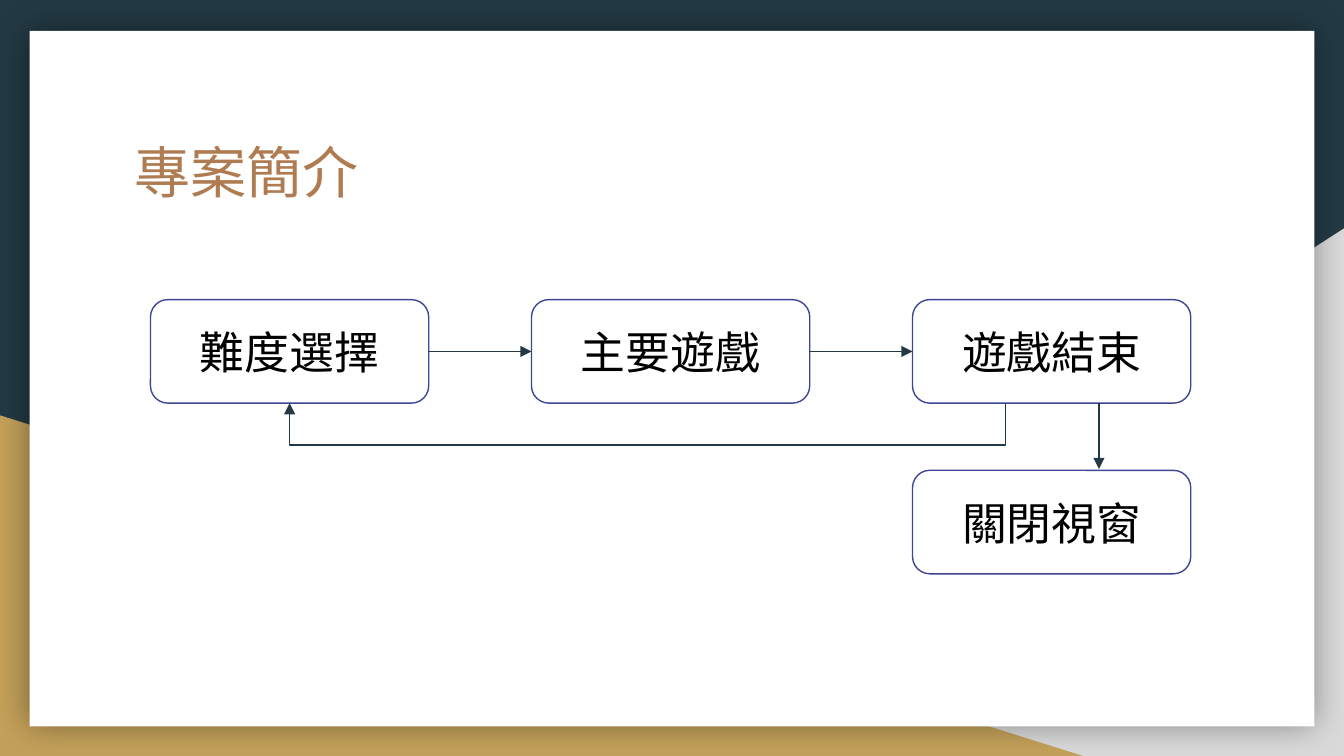
from lxml import etree
from pptx import Presentation
from pptx import util as u
from pptx.dml.color import RGBColor
from pptx.enum import shapes, text
from pptx.oxml.ns import qn

DARK, GOLD, GREY, WHITE = "233A44", "C4A15A", "D9D9D9", "FFFFFF"
BROWN, INDIGO, BLACK = "AF7B51", "3D4594", "000000"
PAGE_W = 10
PAGE_H = PAGE_W * 9 / 16
NODE_W, NODE_H = 2.07, 0.77


def colour(value):
    return RGBColor.from_string(value)


def inches(*lengths):
    return [u.Inches(length) for length in lengths]


def add_panel(page, preset, box, fill):
    panel = page.shapes.add_shape(preset, *inches(*box))
    panel.fill.solid()
    panel.fill.fore_color.rgb = colour(fill)
    panel.line.fill.background()
    panel.shadow.inherit = False
    return panel


def add_text(frame, words, font, size, ink):
    frame.word_wrap = True
    frame.margin_left = frame.margin_right = u.Inches(0.1)
    frame.margin_top = frame.margin_bottom = u.Inches(0.1)
    para = frame.paragraphs[0]
    span = para.add_run()
    span.text = words
    span.font.name = font
    span.font.size = u.Pt(size)
    span.font.color.rgb = colour(ink)
    return para


def add_backdrop(page, width, height):
    page.background.fill.solid()
    page.background.fill.fore_color.rgb = colour(DARK)
    triangle = shapes.MSO_SHAPE.RIGHT_TRIANGLE

    # Corner triangles
    right = add_panel(page, triangle, (3.92, 1.7, width - 3.92, height - 1.7), GREY)
    right._element.spPr.find(qn("a:xfrm")).set("flipH", "1")
    add_panel(page, triangle, (0, 3.09, 8.06, height - 3.09), GOLD)

    # White card with a soft shadow
    card = add_panel(page, shapes.MSO_SHAPE.RECTANGLE,
                     (0.22, 0.23, width - 0.44, height - 0.45), WHITE)
    effects = card._element.spPr.find(qn("a:effectLst"))
    shadow = etree.SubElement(effects, qn("a:outerShdw"), blurRad=str(u.Pt(18)),
                              dist="0", dir="0", algn="ctr", rotWithShape="0")
    shade = etree.SubElement(shadow, qn("a:srgbClr"), val=BLACK)
    etree.SubElement(shade, qn("a:alpha"), val="40000")


def add_title(page, box, words):
    title = page.shapes.add_textbox(*inches(*box))
    add_text(title.text_frame, words, "League Spartan", 30, BROWN)


def add_node(page, left, top, words):
    node = page.shapes.add_shape(shapes.MSO_SHAPE.ROUNDED_RECTANGLE,
                                 *inches(left, top, NODE_W, NODE_H))
    node.adjustments[0] = 0.167
    node.fill.background()
    node.line.color.rgb = colour(INDIGO)
    node.line.width = u.Pt(0.75)
    node.shadow.inherit = False
    node.text_frame.vertical_anchor = text.MSO_ANCHOR.MIDDLE
    para = add_text(node.text_frame, words, "Calibri", 24, BLACK)
    para.alignment = text.PP_ALIGN.CENTER
    return node


def style_arrow(arrow):
    arrow.line.color.rgb = colour(DARK)
    arrow.line.width = u.Pt(0.75)
    etree.SubElement(arrow.line._get_or_add_ln(), qn("a:tailEnd"), type="triangle")
    etree.SubElement(arrow._element.spPr, qn("a:effectLst"))


def add_arrow(page, start, end):
    arrow = page.shapes.add_connector(shapes.MSO_CONNECTOR.STRAIGHT,
                                      *inches(*start, *end))
    style_arrow(arrow)
    return arrow


def add_return_path(page, points):
    start, *rest = [tuple(inches(*point)) for point in points]
    builder = page.shapes.build_freeform(*start)
    builder.add_line_segments(rest, close=False)
    route = builder.convert_to_shape()
    route.fill.background()
    style_arrow(route)


def add_flow(page, left, top, width):
    step = (width - NODE_W) / 2
    last, bottom = left + 2 * step, top + NODE_H
    middle = top + NODE_H / 2

    # Three stages in a row, joined left to right
    stages = [add_node(page, left + i * step, top, words)
              for i, words in enumerate(["難度選擇", "主要遊戲", "遊戲結束"])]
    for i, (before, after) in enumerate(zip(stages, stages[1:])):
        x = left + i * step
        arrow = add_arrow(page, (x + NODE_W, middle), (x + step, middle))
        arrow.begin_connect(before, 3)
        arrow.end_connect(after, 1)

    # Back to the first stage
    out, back, lane = last + NODE_W / 3, left + NODE_W / 2, bottom + 0.31
    add_return_path(page, [(out, bottom), (out, lane), (back, lane), (back, bottom)])

    # Exit below the last stage
    exit_top = bottom + 0.5
    add_node(page, last, exit_top, "關閉視窗")
    down = last + NODE_W * 0.67
    add_arrow(page, (down, bottom), (down, exit_top - 0.01))


def main():
    deck = Presentation()
    deck.slide_width, deck.slide_height = inches(PAGE_W, PAGE_H)
    page = deck.slides.add_slide(deck.slide_layouts[6])
    add_backdrop(page, PAGE_W, PAGE_H)
    add_title(page, (0.9, 0.92, 8.21, 1.04), "專案簡介")
    add_flow(page, 1.12, 2.23, 7.74)
    deck.save("out.pptx")


if __name__ == "__main__":
    main()
